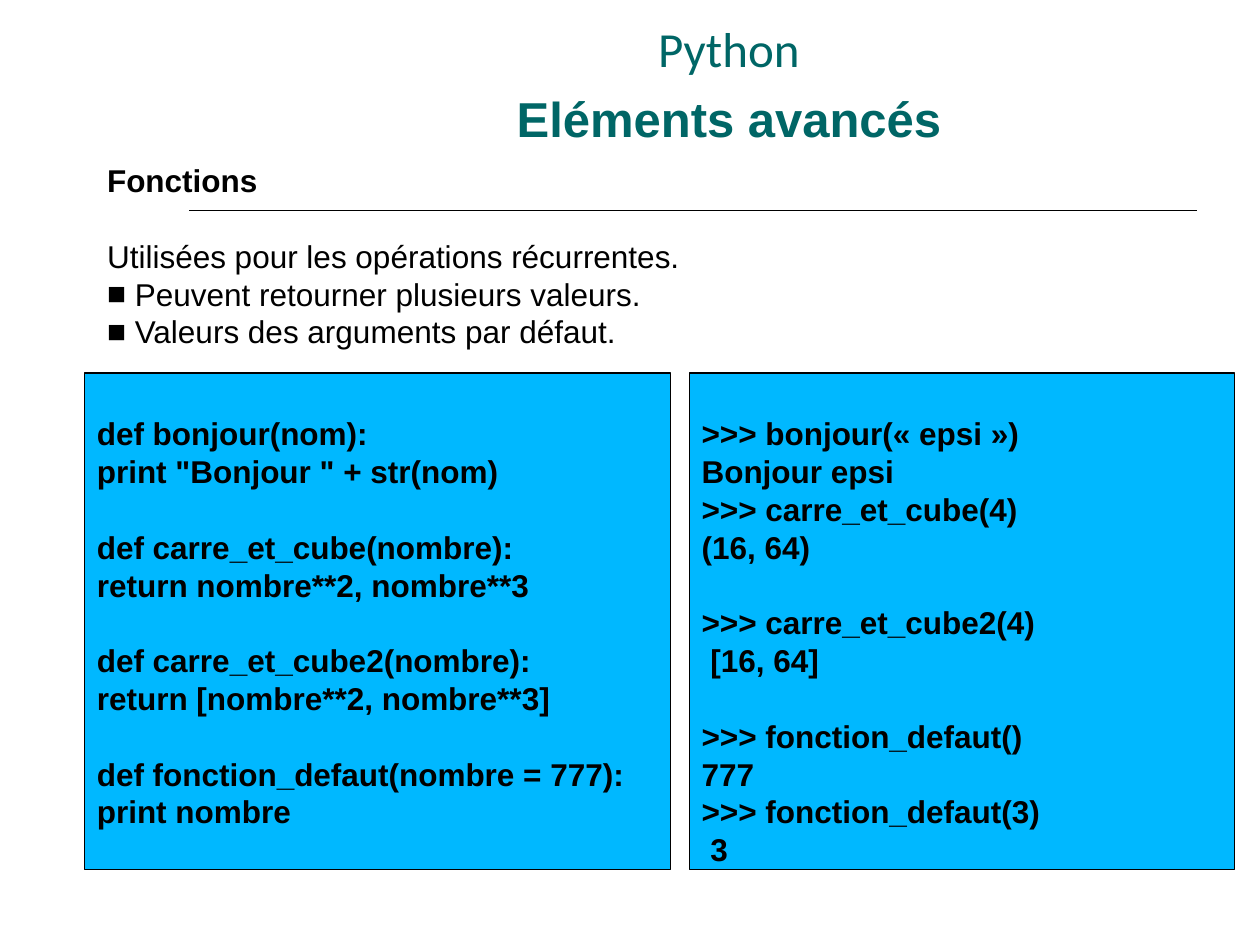
from dataclasses import dataclass

from lxml.etree import SubElement
from pptx import Presentation
from pptx.dml.color import RGBColor
from pptx.enum.shapes import MSO_CONNECTOR as Connector, MSO_SHAPE as Shape
from pptx.enum.text import MSO_ANCHOR as Anchor, MSO_AUTO_SIZE as AutoSize, PP_ALIGN as Align
from pptx.oxml.ns import qn
from pptx.util import Inches, Pt

TITLE = [("Python", "Calibri", False), ("Eléments avancés", "Arial", True)]
HEADING = "Fonctions"
INTRODUCTION = "Utilisées pour les opérations récurrentes."
BULLETS = ["Peuvent retourner plusieurs valeurs.", "Valeurs des arguments par défaut."]

DEFINITIONS = [
    ["def bonjour(nom):", 'print "Bonjour " + str(nom)'],
    ["def carre_et_cube(nombre):", "return nombre**2, nombre**3"],
    ["def carre_et_cube2(nombre):", "return [nombre**2, nombre**3]"],
    ["def fonction_defaut(nombre = 777):", "print nombre"],
]
SESSION = [
    [">>> bonjour(« epsi »)", "Bonjour epsi", ">>> carre_et_cube(4)", "(16, 64)"],
    [">>> carre_et_cube2(4)", " [16, 64]"],
    [">>> fonction_defaut()", "777", ">>> fonction_defaut(3)", " 3"],
]
CODE_PANELS = [(0.67, 4.65, DEFINITIONS), (5.47, 4.33, SESSION)]
CODE_TOP, CODE_HEIGHT = 2.96, 3.94


@dataclass(frozen=True)
class Theme:
    title: RGBColor = RGBColor(0x00, 0x66, 0x66)
    text: RGBColor = RGBColor(0, 0, 0)
    panel: RGBColor = RGBColor(0x00, 0xB8, 0xFF)
    font: str = "Arial"
    title_size: Pt = Pt(28)
    title_spacing: Pt = Pt(40)
    text_size: Pt = Pt(18)
    line_spacing: Pt = Pt(21.6)


THEME = Theme()


def place(shape, left, top, width, height):
    shape.left, shape.top = Inches(left), Inches(top)
    shape.width, shape.height = Inches(width), Inches(height)


def prepare_frame(frame, anchor, left=0.1, top=0.05, right=0.1, bottom=0.05):
    frame.word_wrap = True
    frame.auto_size = AutoSize.NONE
    frame.vertical_anchor = anchor
    frame.margin_left, frame.margin_top = Inches(left), Inches(top)
    frame.margin_right, frame.margin_bottom = Inches(right), Inches(bottom)


def set_bullet(paragraph, character, indent):
    properties = paragraph._p.get_or_add_pPr()
    properties.set("marL", str(indent))
    properties.set("indent", str(-indent))
    if character:
        SubElement(properties, qn("a:buFont"), typeface=THEME.font)
        SubElement(properties, qn("a:buChar"), char=character)
    else:
        SubElement(properties, qn("a:buNone"))


def write_lines(frame, lines):
    for index, (text, bold, gap, bullet) in enumerate(lines):
        paragraph = frame.paragraphs[0] if index == 0 else frame.add_paragraph()
        paragraph.text = text
        paragraph.alignment = Align.LEFT
        paragraph.line_spacing = THEME.line_spacing
        paragraph.space_before = THEME.line_spacing if gap else Pt(0)
        set_bullet(paragraph, bullet, Inches(0.22) if bullet else 0)
        paragraph.font.name = THEME.font
        paragraph.font.size = THEME.text_size
        paragraph.font.bold = bold
        paragraph.font.color.rgb = THEME.text


def fill_title(title):
    place(title, 1.69, 0, 8.31, 1.25)
    prepare_frame(title.text_frame, Anchor.BOTTOM, right=0.22, bottom=0.08)
    paragraph = title.text_frame.paragraphs[0]
    paragraph.alignment = Align.CENTER
    paragraph.line_spacing = THEME.title_spacing
    paragraph.font.size = THEME.title_size
    paragraph.font.color.rgb = THEME.title
    for index, (text, font, bold) in enumerate(TITLE):
        if index:
            paragraph.add_line_break()
        run = paragraph.add_run()
        run.text = text
        run.font.name = font
        run.font.size = THEME.title_size
        run.font.bold = bold
        run.font.color.rgb = THEME.title


def fill_body(body):
    place(body, 0.75, 1.23, 8.76, 1.65)
    prepare_frame(body.text_frame, Anchor.TOP)
    lines = [(HEADING, True, False, None), (INTRODUCTION, False, True, None)]
    lines += [(text, False, False, "■") for text in BULLETS]
    write_lines(body.text_frame, lines)


def add_rule(slide):
    rule = slide.shapes.add_connector(
        Connector.STRAIGHT, Inches(1.5), Inches(1.67), Inches(9.5), Inches(1.67))
    rule.line.color.rgb = THEME.text
    rule.line.width = Pt(1)
    SubElement(rule._element.spPr, qn("a:effectLst"))


def add_code_panel(slide, left, width, groups):
    panel = slide.shapes.add_shape(
        Shape.RECTANGLE, Inches(left), Inches(CODE_TOP), Inches(width), Inches(CODE_HEIGHT))
    panel.shadow.inherit = False
    panel.fill.solid()
    panel.fill.fore_color.rgb = THEME.panel
    panel.line.color.rgb = THEME.text
    panel.line.width = Pt(0.75)
    prepare_frame(panel.text_frame, Anchor.TOP, top=0.33, bottom=0)
    write_lines(panel.text_frame, [
        (text, True, group_index > 0 and line_index == 0, None)
        for group_index, group in enumerate(groups)
        for line_index, text in enumerate(group)
    ])


def main():
    presentation = Presentation()
    presentation.slide_width, presentation.slide_height = Inches(10), Inches(7.5)
    slide = presentation.slides.add_slide(presentation.slide_layouts[1])
    fill_title(slide.shapes.title)
    fill_body(slide.placeholders[1])
    add_rule(slide)
    for left, width, groups in CODE_PANELS:
        add_code_panel(slide, left, width, groups)
    presentation.save("out.pptx")


if __name__ == "__main__":
    main()
